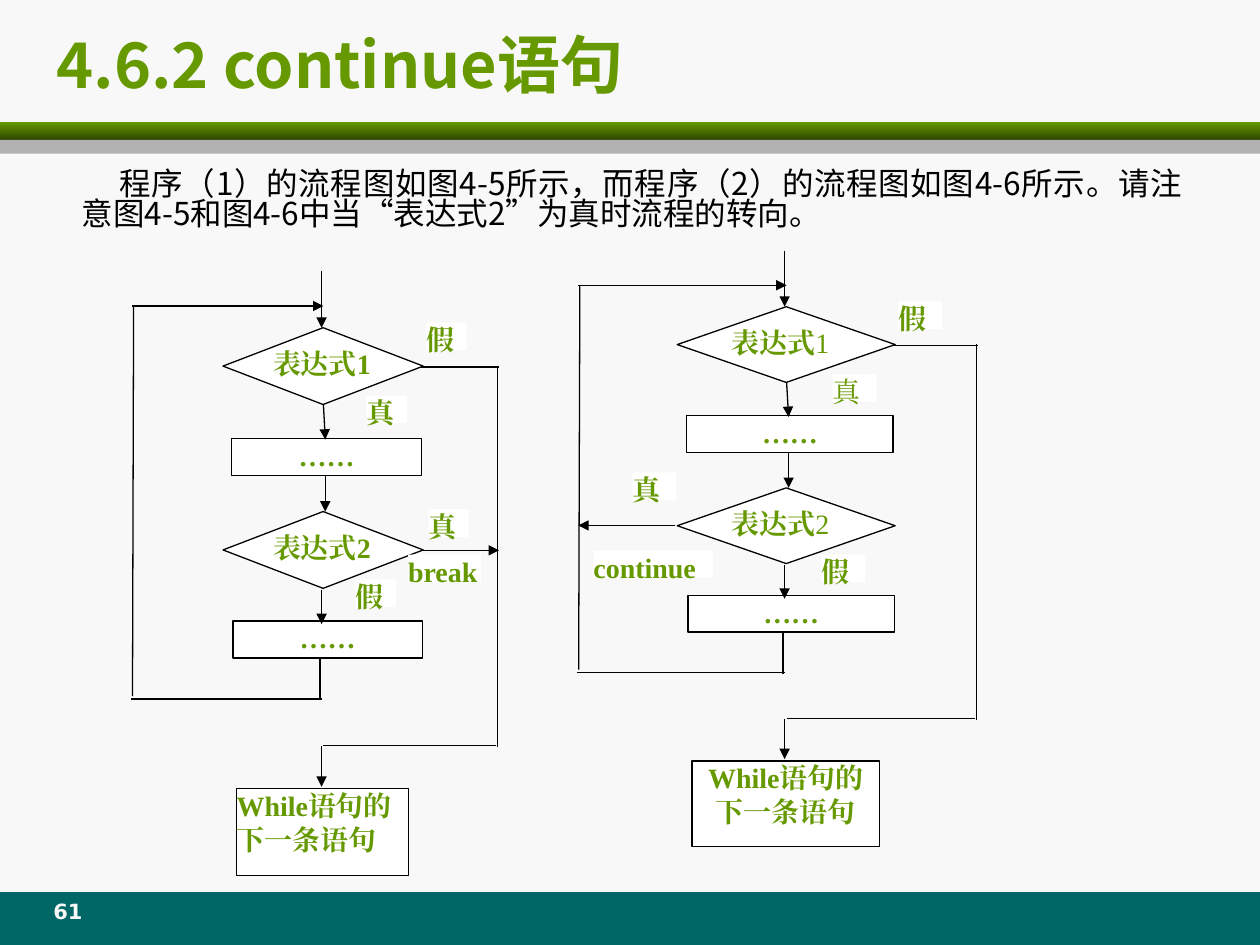
from lxml.etree import SubElement
from pptx import Presentation
from pptx.dml.color import RGBColor
from pptx.enum.shapes import MSO_CONNECTOR, MSO_SHAPE
from pptx.enum.text import MSO_ANCHOR, PP_ALIGN
from pptx.oxml.ns import qn
from pptx.util import Inches, Pt

GREEN, BLACK, WHITE, PAPER = "669900", "000000", "FFFFFF", "F8F8F8"
SERIF = "Times New Roman"
JUSTIFY, CENTER = PP_ALIGN.JUSTIFY, PP_ALIGN.CENTER

# Flowchart geometry, in percent of the chart's box: x1, y1, x2, y2
ARROWS = [
    (51.8, 0, 51.8, 9.4), (52.3, 22.1, 52.8, 27.9), (52.8, 33.9, 52.8, 39.8),
    (51.8, 52.7, 51.8, 58.4), (0.3, 5.8, 52.3, 5.8), (51.8, 78.5, 51.8, 85.3),
]
LINES = [
    (51.4, 64.2, 51.4, 71), (51.8, 70.8, 0, 70.8), (0.4, 70.3, 0.7, 5.8),
    (78.9, 15.9, 100, 15.9), (99.7, 15.7, 99.7, 78.7), (99.3, 78.5, 52.3, 78.5),
]


def rgb(value):
    return RGBColor.from_string(value)


def write(shape, paragraphs, size=16, font=SERIF, color=GREEN, bold=True,
          align=JUSTIFY, anchor=MSO_ANCHOR.TOP, inset=(0, 0)):
    """Fill a shape with paragraphs; each is a string or a list of (text, bold)."""
    tf = shape.text_frame
    tf.word_wrap, tf.vertical_anchor = True, anchor
    tf.margin_left = tf.margin_right = Inches(inset[0])
    tf.margin_top = tf.margin_bottom = Inches(inset[1])
    for i, runs in enumerate(paragraphs):
        p = tf.add_paragraph() if i else tf.paragraphs[0]
        p.alignment = align
        for text, run_bold in [(runs, bold)] if isinstance(runs, str) else runs:
            r = p.add_run()
            r.text = text
            r.font.size, r.font.name, r.font.bold = Pt(size), font, run_bold
            r.font.color.rgb = rgb(color)
            SubElement(r.font._element, qn("a:ea")).set("typeface", font)
    return tf


def add_box(shapes, kind, x, y, w, h, fill=WHITE, line=None):
    sp = shapes.add_shape(kind, Inches(x), Inches(y), Inches(w), Inches(h))
    sp.shadow.inherit = False
    sp.fill.solid()
    sp.fill.fore_color.rgb = rgb(fill)
    if line:
        sp.line.color.rgb = rgb(line)
        sp.line.width = Pt(0.75)
    else:
        sp.line.fill.background()
    return sp


def add_line(shapes, x1, y1, x2, y2, arrow=False):
    c = shapes.add_connector(MSO_CONNECTOR.STRAIGHT, Inches(x1), Inches(y1),
                             Inches(x2), Inches(y2))
    c.line.color.rgb = rgb(BLACK)
    c.line.width = Pt(0.75)
    if arrow:
        SubElement(c.line._get_or_add_ln(), qn("a:tailEnd")).set("type", "triangle")
    SubElement(c._element.spPr, qn("a:effectLst"))


def add_text(s, x, y, w, h, text, **fmt):
    box = s.shapes.add_textbox(Inches(x), Inches(y), Inches(w), Inches(h))
    return write(box, [text], inset=(0.1, 0.05), **fmt)


def frame(s, w, h):
    """Draw the footer band and the two bars under the title."""
    rect = MSO_SHAPE.RECTANGLE
    add_box(s.shapes, rect, 0, 0.944 * h, w, 0.056 * h, "006666")
    bar = add_box(s.shapes, rect, 0, 0.97, w, 0.14)
    bar.fill.gradient()
    bar.fill.gradient_angle = 270
    for stop, position, color in zip(bar.fill.gradient_stops, (0, 1), (GREEN, "2F4700")):
        stop.position = position
        stop.color.rgb = rgb(color)
    add_box(s.shapes, rect, 0, 1.11, w, 0.11, "B2B2B2")


def flowchart(s, x, y, w, h, conditions, labels, jump, exit_align):
    """Draw a while loop whose second condition jumps along the given line."""
    shapes = s.shapes.add_group_shape().shapes

    def place(px, py):
        return x + w * px / 100, y + h * py / 100

    def block(kind, px, py, pw, ph, paragraphs, align=CENTER, line=BLACK):
        sp = add_box(shapes, kind, *place(px, py), w * pw / 100, h * ph / 100, line=line)
        write(sp, paragraphs, align=align)

    for text, top in zip(conditions, (9.4, 39.8)):
        block(MSO_SHAPE.FLOWCHART_DECISION, 25, top, 54.4, 12.7, [text], JUSTIFY)
    for left, top in ((27.4, 27.7), (27.7, 57.9)):
        block(MSO_SHAPE.RECTANGLE, left, top, 51.5, 6.1, ["……"])
    for segments, arrow in ((ARROWS + [jump], True), (LINES, False)):
        for x1, y1, x2, y2 in segments:
            add_line(shapes, *place(x1, y1), *place(x2, y2), arrow)
    for text, px, py, pw in labels:
        block(MSO_SHAPE.RECTANGLE, px, py, pw, 4.6, [text], JUSTIFY, None)
    block(MSO_SHAPE.RECTANGLE, 28.7, 85.6, 46.8, 14.4,
          ["While语句的", "下一条语句"], exit_align)


def main():
    prs = Presentation()
    prs.slide_width, prs.slide_height = Inches(10), Inches(7.5)
    s = prs.slides.add_slide(prs.slide_layouts[6])
    s.background.fill.solid()
    s.background.fill.fore_color.rgb = rgb(PAPER)

    frame(s, 10, 7.5)
    add_text(s, 0.25, 7.08, 0.58, 0.33, "61", size=12, font="DejaVu Sans",
             color=PAPER, align=CENTER)
    add_text(s, 0.35, 0.21, 8.72, 0.59, "4.6.2 continue语句", size=36,
             font="Noto Sans CJK JP", align=PP_ALIGN.LEFT, anchor=MSO_ANCHOR.MIDDLE)
    tf = add_text(
        s, 0.35, 1.31, 9.13, 5.69,
        "程序（1）的流程图如图4-5所示，而程序（2）的流程图如图4-6所示。"
        "请注意图4-5和图4-6中当“表达式2”为真时流程的转向。",
        size=18, font="Noto Sans CJK SC", color=BLACK, bold=False)
    p = tf.paragraphs[0]
    p.line_spacing = 0.8
    pPr = p._p.get_or_add_pPr()
    pPr.set("marL", str(Inches(0.2)))
    pPr.set("indent", str(Inches(0.3)))

    flowchart(s, 1.04, 2.15, 2.92, 4.8, ["表达式1", "表达式2"],
              [("真", 64, 20.6, 11), ("假", 80.2, 8.5, 11), ("真", 80.8, 39.4, 11),
               ("假", 61, 51, 11), ("break", 75.3, 46.9, 19.9)],
              (79.5, 46.2, 100, 46.2), JUSTIFY)
    flowchart(s, 4.58, 1.99, 3.18, 4.73,
              [[("表达式", True), (n, False)] for n in "12"],
              [([("真", False)], 63.8, 20.7, 11), ("假", 80.2, 8.5, 11),
               ("真", 13.8, 37.2, 11), ("假", 61, 51, 11), ("continue", 4.1, 50.3, 29.9)],
              (24.5, 46.1, 0.3, 46.1), CENTER)
    prs.save("out.pptx")


if __name__ == "__main__":
    main()
